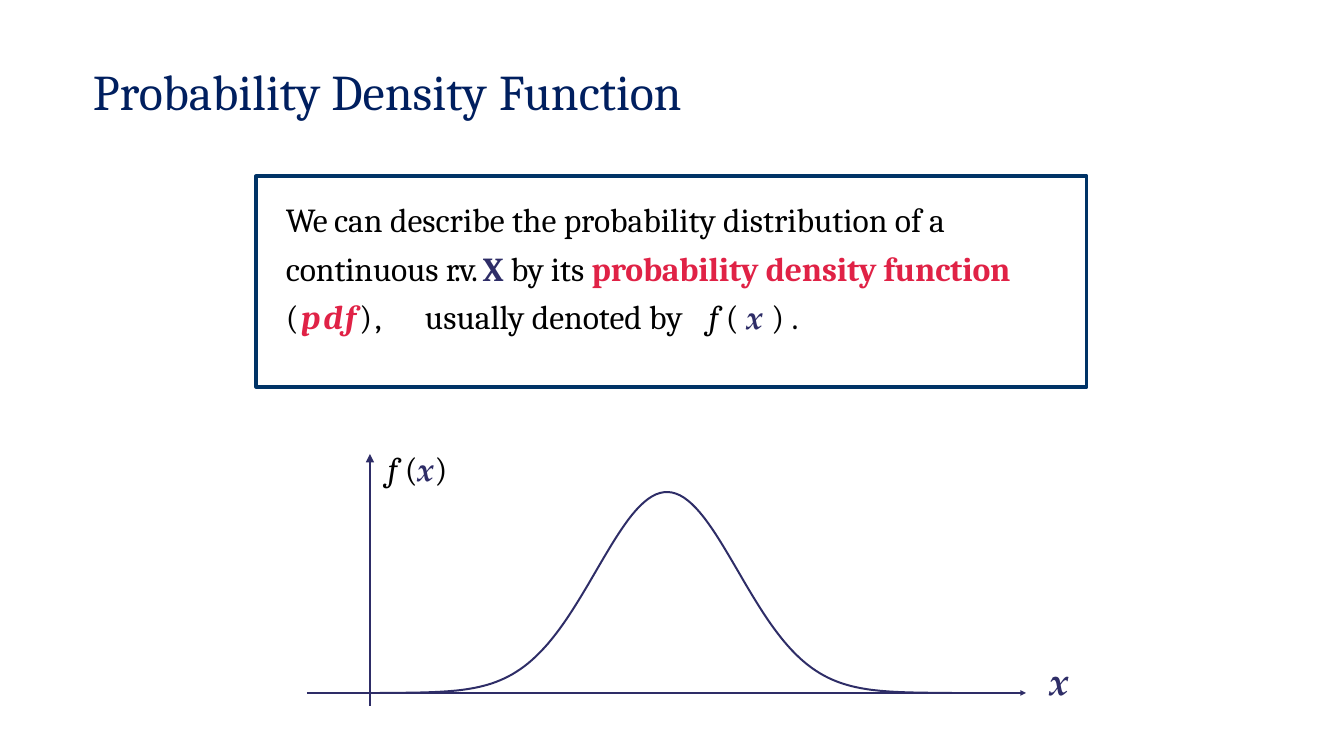
import math

import pptx
import pptx.dml.color
import pptx.enum.shapes
import pptx.enum.text
import pptx.oxml
import pptx.oxml.ns
import pptx.util

EMU_PER_PX = 914400 / 100.8
SERIF, MATH = "Cambria", "TeX Gyre Pagella"
BLACK, INDIGO, RED, NAVY, FRAME = "000000", "2E2D67", "E02246", "001F5F", "003366"


def px(length):
    return pptx.util.Emu(round(length * EMU_PER_PX))


def colour(hex_code):
    return pptx.dml.color.RGBColor.from_string(hex_code)


def drawing_element(tag):
    return pptx.oxml.parse_xml(f"<a:{tag} {pptx.oxml.ns.nsdecls('a')}/>")


class DensitySlide:
    def __init__(self, presentation):
        self.slide = presentation.slides.add_slide(presentation.slide_layouts[5])
        self.shapes = self.slide.shapes

    def set_text(self, holder, runs, size, insets=(0, 0), tabs=(), spacing=None, wrap=True):
        frame = holder.text_frame
        frame.auto_size = pptx.enum.text.MSO_AUTO_SIZE.NONE
        frame.word_wrap = wrap
        frame.margin_left, frame.margin_top = map(px, insets)
        frame.margin_right = frame.margin_bottom = 0
        paragraph = frame.paragraphs[0]
        if tabs:
            stops = drawing_element("tabLst")
            for position in tabs:
                stop = drawing_element("tab")
                stop.set("pos", str(px(position)))
                stop.set("algn", "l")
                stops.append(stop)
            paragraph._p.get_or_add_pPr().append(stops)
        paragraph.alignment = pptx.enum.text.PP_ALIGN.LEFT
        paragraph.line_spacing = spacing
        for words, hex_code, style, tracking in runs:
            run = paragraph.add_run()
            run.text = words
            run.font.name = MATH if "m" in style else SERIF
            run.font.size = pptx.util.Pt(size)
            run.font.bold = "b" in style
            run.font.italic = "i" in style
            run.font.color.rgb = colour(hex_code)
            run._r.get_or_add_rPr().set("spc", str(tracking))

    def title(self, box, runs, size, insets):
        heading = self.shapes.title
        heading.left, heading.top, heading.width, heading.height = map(px, box)
        self.set_text(heading, runs, size, insets)
        heading.text_frame.vertical_anchor = pptx.enum.text.MSO_ANCHOR.MIDDLE

    def framed_text(self, box, runs, size, insets, tabs, spacing):
        panel = self.shapes.add_shape(
            pptx.enum.shapes.MSO_SHAPE.RECTANGLE, *map(px, box))
        self.outline(panel, FRAME, 2.25)
        panel.text_frame.vertical_anchor = pptx.enum.text.MSO_ANCHOR.TOP
        self.set_text(panel, runs, size, insets, tabs, spacing)

    def label(self, box, runs, size, insets):
        caption = self.shapes.add_textbox(*map(px, box))
        self.set_text(caption, runs, size, insets, wrap=False)

    def outline(self, shape, hex_code, width):
        shape.shadow.inherit = False
        shape.fill.background()
        shape.line.color.rgb = colour(hex_code)
        shape.line.width = pptx.util.Pt(width)

    def axis(self, start, end, head):
        line = self.shapes.add_connector(
            pptx.enum.shapes.MSO_CONNECTOR.STRAIGHT, *map(px, start + end))
        line.line.color.rgb = colour(INDIGO)
        line.line.width = pptx.util.Pt(1.5)
        arrow = drawing_element("tailEnd")
        for key, value in (("type", "triangle"), ("w", head), ("len", head)):
            arrow.set(key, value)
        line._element.spPr.find(pptx.oxml.ns.qn("a:ln")).append(arrow)
        line._element.spPr.append(drawing_element("effectLst"))

    def bell_curve(self, left, right, mean, deviation, peak, base):
        points = [
            (x, base - (base - peak) * math.exp(-((x - mean) / deviation) ** 2 / 2))
            for x in range(left, right + 1, 4)
        ]
        pen = self.shapes.build_freeform(*map(px, points[0]), scale=1.0)
        pen.add_line_segments([tuple(map(px, point)) for point in points[1:]], close=False)
        self.outline(pen.convert_to_shape(), INDIGO, 1.43)


def main():
    presentation = pptx.Presentation()
    presentation.slide_width, presentation.slide_height = px(1344), px(756)
    density = DensitySlide(presentation)

    density.title((93, 40, 1159, 91), [
        ("Probability Density ", NAVY, "", 10),
        ("Function", NAVY, "", 0),
    ], 35.7, (0, 10))

    definition = [
        ("We ", BLACK, "", -70),
        ("can describe the probability distribution of a ", BLACK, "", 0),
        ("continuous ", BLACK, "", -10),
        ("r.v. ", BLACK, "", -110),
        ("X ", INDIGO, "b", 0),
        ("by ", BLACK, "", -20),
        ("its ", BLACK, "", 0),
        ("probability density function ", RED, "b", -10),
        ("(", BLACK, "", 190),
        ("pd", RED, "bi", 190),
        ("f", RED, "bi", 200),
        (")", BLACK, "", 190),
        (",\tusually denoted by\t", BLACK, "", 0),
        ("f ", BLACK, "i", 0),
        ("( ", BLACK, "", 0),
        ("x ", INDIGO, "bim", 0),
        (") .", BLACK, "", 0),
    ]
    density.framed_text((256, 176, 831, 211), definition, 24, (30, 15), (139, 423), 1.2)

    density.axis((307, 693), (1026, 693), "sm")
    density.bell_curve(380, 954, 667, 71, 492, 693)
    density.axis((370, 706), (370, 454), "med")

    density.label((1050, 655, 22, 48), [("x", INDIGO, "bim", -10)], 28, (0, 1))
    density.label((388, 446, 65, 42), [
        ("f ", BLACK, "i", 0),
        ("(", BLACK, "", 0),
        ("x", INDIGO, "bim", 0),
        (")", BLACK, "", 0),
    ], 24, (0, 2))

    presentation.save("out.pptx")


if __name__ == "__main__":
    main()
